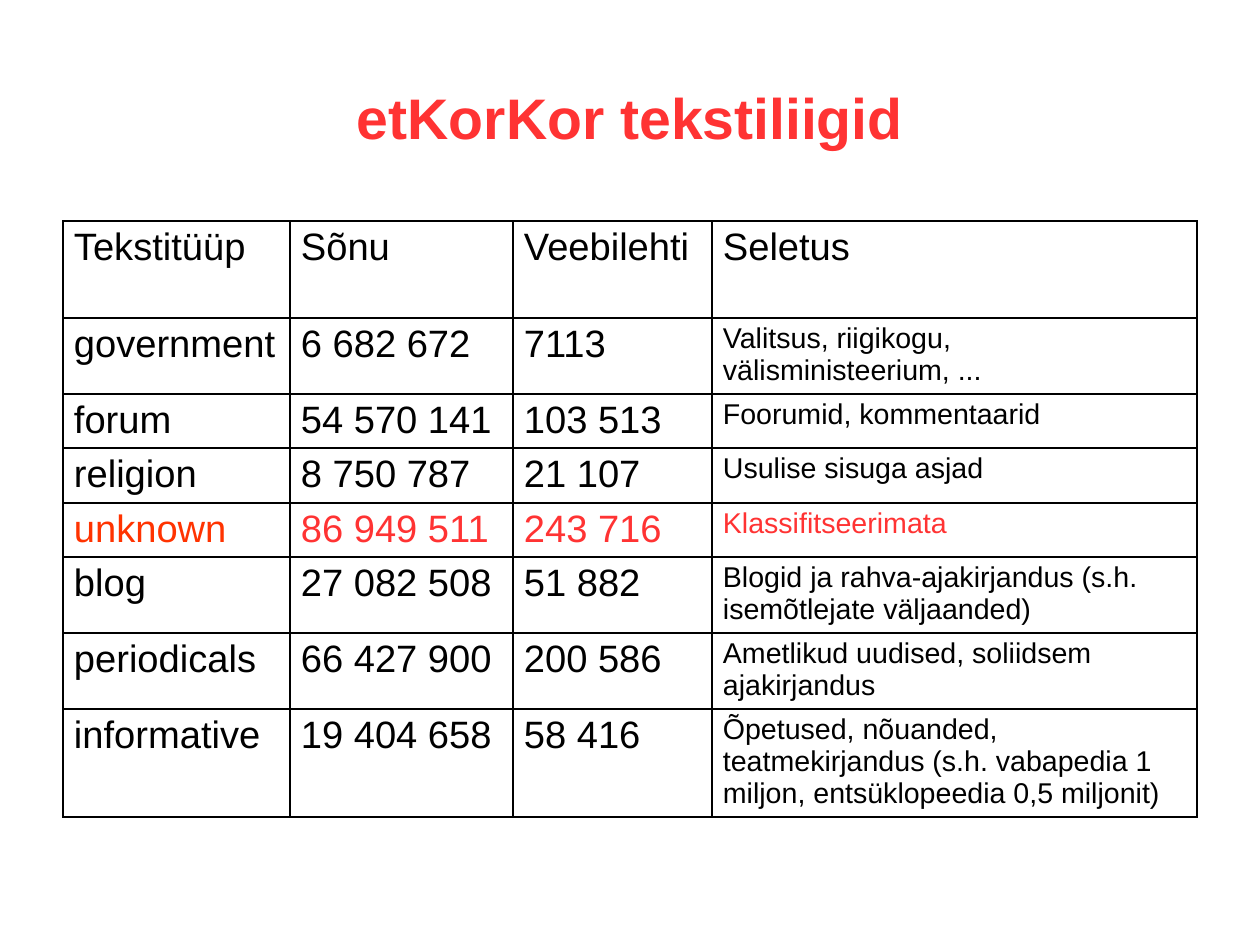
import pptx
import pptx.dml.color
import pptx.enum.text
import pptx.oxml.ns
import pptx.util
from lxml import etree

PX = 8000
FONT = "Arial"
COLORS = {"text": "000000", "title": "FF3333", "type": "FF3300", "border": "000000"}
COLUMNS = [227, 223, 199, 485]
HEIGHTS = [97, 76, 54, 55, 54, 76, 76, 108]
HIGHLIGHT = "unknown"
ROWS = [
    ("Tekstitüüp", "Sõnu", "Veebilehti", "Seletus"),
    ("government", "6 682 672", "7113", "Valitsus, riigikogu, välisministeerium, ..."),
    ("forum", "54 570 141", "103 513", "Foorumid, kommentaarid"),
    ("religion", "8 750 787", "21 107", "Usulise sisuga asjad"),
    (HIGHLIGHT, "86 949 511", "243 716", "Klassifitseerimata"),
    ("blog", "27 082 508", "51 882",
     "Blogid ja rahva-ajakirjandus (s.h. isemõtlejate väljaanded)"),
    ("periodicals", "66 427 900", "200 586", "Ametlikud uudised, soliidsem ajakirjandus"),
    ("informative", "19 404 658", "58 416",
     "Õpetused, nõuanded, teatmekirjandus (s.h. vabapedia 1 miljon, "
     "entsüklopeedia 0,5 miljonit)"),
]


def px(n):
    return pptx.util.Emu(n * PX)


def write(tf, text, size, color, bold=False):
    tf.text = text
    font = tf.paragraphs[0].runs[0].font
    font.name, font.size, font.bold = FONT, pptx.util.Pt(size), bold
    font.color.rgb = pptx.dml.color.RGBColor.from_string(COLORS[color])


def add_title(slide, text, left, top, width, height):
    sp = slide.shapes.title
    sp.left, sp.top, sp.width, sp.height = map(px, (left, top, width, height))
    tf = sp.text_frame
    tf.margin_left = tf.margin_right = tf.margin_top = tf.margin_bottom = 0
    tf.vertical_anchor = pptx.enum.text.MSO_ANCHOR.MIDDLE
    write(tf, text, 36, "title", bold=True)
    tf.paragraphs[0].alignment = pptx.enum.text.PP_ALIGN.CENTER


def add_borders(cell):
    qn = pptx.oxml.ns.qn
    tc_pr = cell._tc.get_or_add_tcPr()
    for side in ("lnL", "lnR", "lnT", "lnB"):
        ln = etree.SubElement(tc_pr, qn("a:" + side), w=str(pptx.util.Pt(1)))
        fill = etree.SubElement(ln, qn("a:solidFill"))
        etree.SubElement(fill, qn("a:srgbClr"), val=COLORS["border"])


def format_cell(cell, text, size, color):
    cell.margin_left = cell.margin_right = px(11)
    cell.margin_top = cell.margin_bottom = px(5)
    add_borders(cell)
    cell.fill.background()
    write(cell.text_frame, text, size, color)


def cell_style(i, j):
    size = 18 if i > 0 and j == len(COLUMNS) - 1 else 24
    if ROWS[i][0] != HIGHLIGHT:
        return size, "text"
    return size, "type" if j == 0 else "title"


def add_text_types(slide, left, top):
    frame = slide.shapes.add_table(len(ROWS), len(COLUMNS), px(left), px(top),
                                   px(sum(COLUMNS)), px(sum(HEIGHTS)))
    table = frame.table
    table.first_row = table.horz_banding = False
    for column, width in zip(table.columns, COLUMNS):
        column.width = px(width)
    for i, (row, height) in enumerate(zip(table.rows, HEIGHTS)):
        row.height = px(height)
        for j, cell in enumerate(row.cells):
            format_cell(cell, ROWS[i][j], *cell_style(i, j))


def main():
    """Build the slide with the table of corpus text types."""
    prs = pptx.Presentation()
    prs.slide_width, prs.slide_height = px(1260), px(945)
    slide = prs.slides.add_slide(prs.slide_layouts[5])
    add_title(slide, "etKorKor tekstiliigid", 63, 38, 1134, 158)
    add_text_types(slide, 63, 221)
    prs.save("out.pptx")


main()
